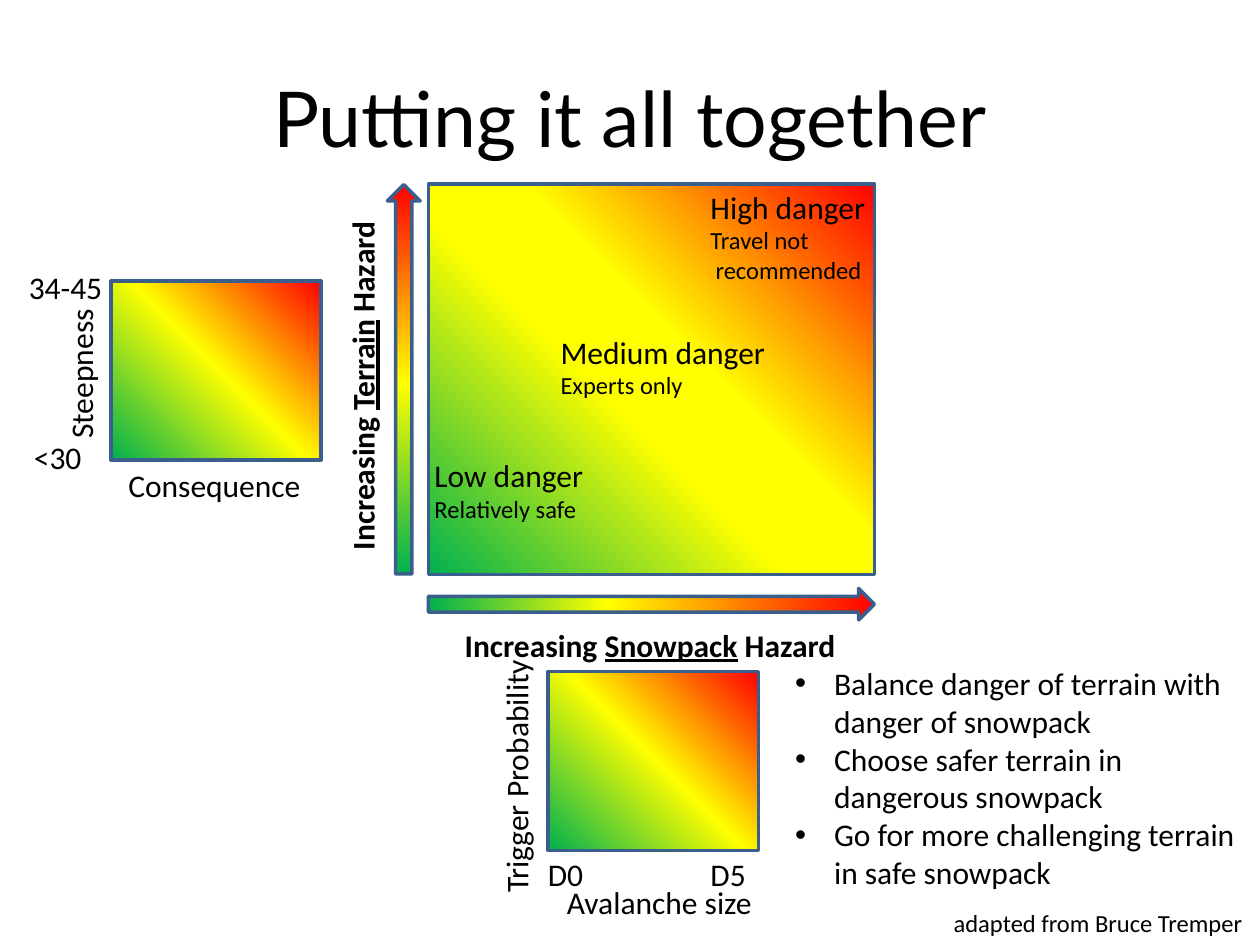
from lxml import etree
from pptx import Presentation
from pptx.dml.color import RGBColor
from pptx.enum import shapes, text
from pptx.oxml import ns
from pptx.util import Inches, Pt

BLACK = RGBColor(0, 0, 0)
BLUE = RGBColor(0x3A, 0x5F, 0x8C)
RED = RGBColor(0xFF, 0, 0)
YELLOW = RGBColor(0xFF, 0xFF, 0)
GREEN = RGBColor(0, 0xB0, 0x50)

RECT = shapes.MSO_SHAPE.RECTANGLE
ARROW = shapes.MSO_SHAPE.RIGHT_ARROW


def put(item, values):
    for name, value in values.items():
        setattr(item, name, value)


def node(parent, tag, **values):
    return etree.SubElement(parent, ns.qn(tag), **values)


class Board:
    def __init__(self, deck):
        self.slide = deck.slides.add_slide(deck.slide_layouts[1])
        self.font = {"name": "Calibri", "size": Pt(18)}

    def place(self, item, box):
        names = ("left", "top", "width", "height")
        put(item, dict(zip(names, map(Inches, box))))

    def style(self, font, **extra):
        put(font, {**self.font, **extra})
        font.color.rgb = BLACK

    def title(self, words, box):
        item = self.slide.shapes.title
        self.place(item, box)
        item.text_frame.text = words
        item.text_frame.vertical_anchor = text.MSO_ANCHOR.MIDDLE
        para = item.text_frame.paragraphs[0]
        para.alignment = text.PP_ALIGN.CENTER
        self.style(para.font, name="Lato", size=Pt(44))

    def bullets(self, lines, box):
        item = self.slide.placeholders[1]
        self.place(item, box)
        frame = item.text_frame
        frame.text = "\n".join(lines)
        frame.auto_size = text.MSO_AUTO_SIZE.SHAPE_TO_FIT_TEXT
        for para in frame.paragraphs:
            para.space_before = Pt(0)
            props = para._p.get_or_add_pPr()
            props.set("marL", str(Inches(0.31)))
            props.set("indent", str(Inches(-0.31)))
            node(props, "a:buFont", typeface="Arial")
            node(props, "a:buChar", char="•")
            self.style(para.font)

    def blend(self, kind, box, stops, angle, turn=0):
        item = self.slide.shapes.add_shape(kind, *map(Inches, box))
        item.rotation = turn
        item.shadow.inherit = False
        item.line.color.rgb = BLUE
        item.line.width = Pt(2)
        item.fill.gradient()
        item.fill.gradient_angle = 360 - angle
        marks = item._element.spPr.find(".//" + ns.qn("a:gsLst"))
        marks.clear()
        for spot, color in stops:
            stop = node(marks, "a:gs", pos=str(spot * 1000))
            node(stop, "a:srgbClr", val=str(color))

    def label(self, lines, box, turn=0, size=18, bold=False):
        item = self.slide.shapes.add_textbox(*map(Inches, box))
        item.rotation = turn
        frame = item.text_frame
        frame.word_wrap = False
        frame.auto_size = text.MSO_AUTO_SIZE.SHAPE_TO_FIT_TEXT
        frame.text = "\n".join(lines)
        for row, para in enumerate(frame.paragraphs):
            self.style(para.font, size=Pt(14 if row else size), bold=bold)
        return frame

    def axis(self, word, box, turn=0):
        para = self.label([""], box, turn, bold=True).paragraphs[0]
        for part in ("Increasing ", word, " Hazard"):
            run = para.add_run()
            run.text = part
            self.style(run.font, bold=True, underline=part == word)

    def ends(self, first, last, box, gap):
        frame = self.label([""], box)
        frame.word_wrap = True
        para = frame.paragraphs[0]
        props = para._p.get_or_add_pPr()
        tabs = etree.Element(ns.qn("a:tabLst"))
        node(tabs, "a:tab", pos=str(Inches(gap)), algn="l")
        props.insert(0, tabs)
        run = para.add_run()
        run.text = f"{first}\t{last}"
        self.style(run.font)


def ramp(*middle):
    return [(0, RED), *((spot, YELLOW) for spot in middle), (100, GREEN)]


def main():
    deck = Presentation()
    deck.slide_width, deck.slide_height = Inches(10), Inches(7.5)
    board = Board(deck)
    board.title("Putting it all together", (0.5, 0.3, 9, 1.25))

    for left, top in ((0.88, 2.23), (4.35, 5.33)):
        board.blend(RECT, (left, top, 1.67, 1.42), ramp(49), 135)
    board.blend(RECT, (3.4, 1.46, 3.54, 3.1), ramp(42, 57), 135)

    for words, box, turn in (
        ("Steepness", (0.02, 2.76, 1.24, 0.4), 270),
        ("Trigger Probability", (3.06, 5.95, 2.07, 0.4), 270),
        ("Avalanche size", (4.4, 6.96, 1.69, 0.4), 0),
        ("Consequence", (0.92, 3.65, 1.59, 0.4), 0),
        ("34-45", (0.13, 2.08, 0.79, 0.4), 0),
        ("<30", (0.17, 3.43, 0.58, 0.4), 0),
    ):
        board.label([words], box, turn)
    board.label(["adapted from Bruce Tremper"], (7.47, 7.16, 2.51, 0.34), size=14)
    board.ends("D0", "D5", (4.25, 6.74, 1.81, 0.4), 1.29)

    board.axis("Snowpack", (3.59, 4.92, 3.17, 0.4))
    board.axis("Terrain", (1.46, 2.85, 2.83, 0.4), 270)
    board.blend(ARROW, (3.4, 4.67, 3.54, 0.25), ramp(60), 180)
    board.blend(ARROW, (1.66, 2.88, 3.09, 0.26), ramp(51), 180, 270)

    board.label(["Low danger", "Relatively safe"], (3.35, 3.57, 1.4, 0.64))
    board.label(["Medium danger", "Experts only"], (4.35, 2.59, 1.85, 0.64))
    high = board.label(
        ["High danger", "Travel not", "recommended"], (5.54, 1.44, 1.45, 0.88)
    )
    high.paragraphs[2]._p.get_or_add_pPr().set("marL", str(Inches(0.04)))

    board.bullets(
        [
            "Balance danger of terrain with danger of snowpack",
            "Choose safer terrain in dangerous snowpack",
            "Go for more challenging terrain in safe snowpack",
        ],
        (6.21, 5.22, 3.79, 1.92),
    )
    deck.save("out.pptx")


if __name__ == "__main__":
    main()
